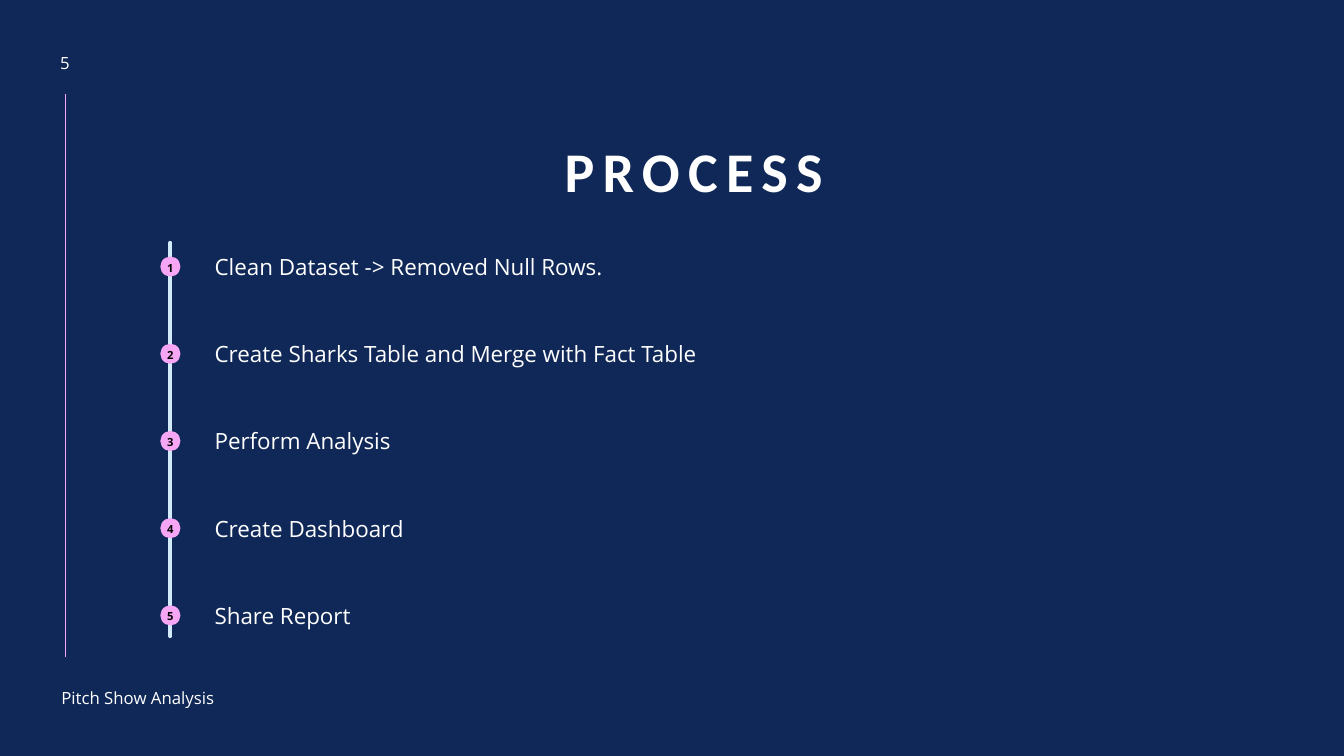
"""Build the process slide: a numbered vertical timeline of five steps."""
import pptx
import pptx.util
import pptx.dml.color
import pptx.enum.shapes
import pptx.enum.text
import pptx.oxml.ns
import lxml.etree

TITLE = "PROCESS"
PAGE_NUMBER = "5"
FOOTER = "Pitch Show Analysis"
STEPS = [
    "Clean Dataset -> Removed Null Rows.",
    "Create Sharks Table and Merge with Fact Table",
    "Perform Analysis",
    "Create Dashboard",
    "Share Report",
]
COLOURS = {"navy": "102857", "pink": "F6A6F4", "ice": "D3EBF9", "white": "FFFFFF", "black": "000000"}
BODY_FONT = "Open Sans"
WIDTH, HEIGHT = 13.33, 7.5
MARGIN_X, MARGIN_TOP, MARGIN_BOTTOM = 0.65, 0.93, 6.52
RAIL_X, RAIL_TOP, RAIL_BOTTOM = 1.69, 2.41, 6.31
STEP_X, STEP_WIDTH, STEP_HEIGHT = 2.03, 7.09, 0.47
STEP_PITCH = 0.865
DOT = 0.2

Inches, Points = pptx.util.Inches, pptx.util.Pt
LEFT, CENTER = pptx.enum.text.PP_ALIGN.LEFT, pptx.enum.text.PP_ALIGN.CENTER
MIDDLE, BOTTOM = pptx.enum.text.MSO_ANCHOR.MIDDLE, pptx.enum.text.MSO_ANCHOR.BOTTOM


def colour(name):
    return pptx.dml.color.RGBColor.from_string(COLOURS[name])


def write(box, text, size, align=LEFT, ink="white", font=BODY_FONT, bold=False, anchor=MIDDLE):
    frame = box.text_frame
    frame.text = text
    frame.word_wrap = True
    frame.vertical_anchor = anchor
    para = frame.paragraphs[0]
    para.alignment = align
    span = para.runs[0]
    span.font.name, span.font.size, span.font.bold = font, Points(size), bold
    span.font.color.rgb = colour(ink)
    return para


def add_text(page, place, text, size, align=LEFT):
    box = page.shapes.add_textbox(*map(Inches, place))
    write(box, text, size, align)


def add_vertical(page, x, top, bottom, ink, weight, cap="flat"):
    line = page.shapes.add_connector(
        pptx.enum.shapes.MSO_CONNECTOR.STRAIGHT, *map(Inches, (x, top, x, bottom)))
    line.line.color.rgb = colour(ink)
    line.line.width = Points(weight)
    properties = line._element.spPr
    properties.find(pptx.oxml.ns.qn("a:ln")).set("cap", cap)
    lxml.etree.SubElement(properties, pptx.oxml.ns.qn("a:effectLst"))


def add_dot(page, center_y, number):
    dot = page.shapes.add_shape(
        pptx.enum.shapes.MSO_SHAPE.OVAL,
        *map(Inches, (RAIL_X - DOT / 2, center_y - DOT / 2, DOT, DOT)))
    dot.shadow.inherit = False
    dot.fill.solid()
    dot.fill.fore_color.rgb = colour("pink")
    dot.line.fill.background()
    write(dot, str(number), 8, CENTER, "black", bold=True)
    frame = dot.text_frame
    frame.word_wrap = False
    frame.margin_top, frame.margin_bottom = Inches(0.07), Inches(0.05)


def main():
    deck = pptx.Presentation()
    deck.slide_width, deck.slide_height = Inches(WIDTH), Inches(HEIGHT)
    page = deck.slides.add_slide(deck.slide_layouts[5])
    page.background.fill.solid()
    page.background.fill.fore_color.rgb = colour("navy")

    add_vertical(page, MARGIN_X, MARGIN_TOP, MARGIN_BOTTOM, "pink", 0.5)

    title = page.shapes.title
    title.left, title.top, title.width, title.height = map(Inches, (0.93, 0.91, 11.9, 1.17))
    para = write(title, TITLE, 40, CENTER, font="Calibri", bold=True, anchor=BOTTOM)
    para.line_spacing = 0.9
    para.runs[0].font._element.set("spc", "600")

    add_text(page, (0.36, 0.45, 0.57, 0.34), PAGE_NUMBER, 12, CENTER)
    add_text(page, (0.51, 6.77, 2.55, 0.3), FOOTER, 12)

    add_vertical(page, RAIL_X, RAIL_TOP, RAIL_BOTTOM, "ice", 3, "rnd")
    for index, step in enumerate(STEPS):
        top = RAIL_TOP + index * STEP_PITCH
        add_dot(page, top + STEP_HEIGHT / 2, index + 1)
        add_text(page, (STEP_X, top, STEP_WIDTH, STEP_HEIGHT), step, 16)

    deck.save("out.pptx")


if __name__ == "__main__":
    main()
